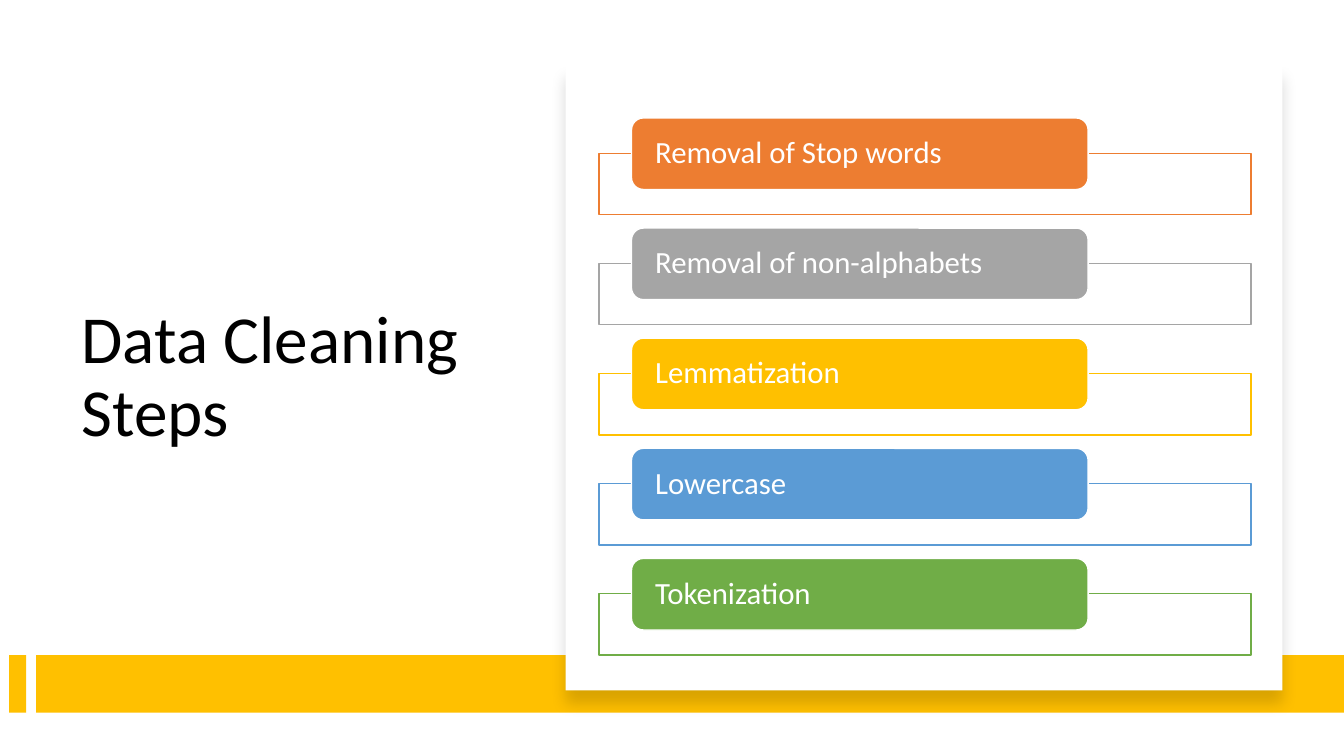
from lxml import etree
from pptx import Presentation
from pptx.dml.color import RGBColor
from pptx.enum.shapes import MSO_SHAPE
from pptx.enum.text import MSO_ANCHOR, PP_ALIGN
from pptx.oxml.ns import qn
from pptx.util import Inches, Pt

RECT = MSO_SHAPE.RECTANGLE
ROUND = MSO_SHAPE.ROUNDED_RECTANGLE
MIDDLE = MSO_ANCHOR.MIDDLE
LEFT = PP_ALIGN.LEFT

STEPS = [
    ("Removal of Stop words", "ED7D31"),
    ("Removal of non-alphabets", "A5A5A5"),
    ("Lemmatization", "FFC000"),
    ("Lowercase", "5B9BD5"),
    ("Tokenization", "70AD47"),
]


def color(code):
    return RGBColor.from_string(code)


def block(slide, kind, box, fill, line=None):
    shape = slide.shapes.add_shape(kind, *map(Inches, box))
    shape.shadow.inherit = False
    shape.fill.solid()
    shape.fill.fore_color.rgb = color(fill)
    if line:
        shape.line.color.rgb = color(line)
        shape.line.width = Pt(1)
    else:
        shape.line.fill.background()
    return shape


def fade(node, percent):
    etree.SubElement(node, qn("a:alpha"), val=str(percent * 1000))


def write(shape, text, inset, size, code):
    frame = shape.text_frame
    look = {
        "word_wrap": True, "vertical_anchor": MIDDLE,
        "margin_left": Inches(inset), "margin_right": Inches(inset),
    }
    for name, value in look.items():
        setattr(frame, name, value)
    frame.text = text
    para = frame.paragraphs[0]
    para.alignment = LEFT
    para.line_spacing = 0.9
    look = {"name": "Calibri", "size": Pt(size), "bold": False}
    for name, value in look.items():
        setattr(para.runs[0].font, name, value)
    para.runs[0].font.color.rgb = color(code)


def heading(slide, box):
    title = slide.shapes.title
    title.left, title.top, title.width, title.height = map(Inches, box)
    write(title, "Data Cleaning Steps", 0.1, 48, "000000")


def band(slide, box):
    # Short tab, gap, then the long bar
    x, y, w, h = box
    tab, gap = 0.17, 0.1
    block(slide, RECT, (x, y, tab, h), "FFC000")
    block(slide, RECT, (x + tab + gap, y, w - tab - gap, h), "FFC000")


def card(slide, box):
    # White card with a soft shadow below
    shape = block(slide, RECT, box, "FFFFFF")
    effects = shape.shadow._element.find(qn("a:effectLst"))
    glow = etree.SubElement(
        effects, qn("a:outerShdw"), blurRad=str(Pt(11)), dist=str(Pt(10)),
        dir=str(90 * 60000), algn="t", rotWithShape="0")
    fade(etree.SubElement(glow, qn("a:srgbClr"), val="000000"), 15)


def steps(slide, box):
    # Each label overlaps the top edge of its outlined frame
    x, y, w, h = box
    label, frame, drop = 0.71, 0.61, 0.35
    pitch = (h - drop - frame) / (len(STEPS) - 1)
    for i, (text, tint) in enumerate(STEPS):
        top = y + i * pitch
        outer = block(slide, RECT, (x, top + drop, w, frame), "FFFFFF", tint)
        fade(outer.fill._xPr.find(qn("a:solidFill"))[0], 90)
        pill = block(slide, ROUND, (x + w * 0.05, top, w * 0.7, label),
                     tint, "FFFFFF")
        write(pill, text, 0.2, 22, "FFFFFF")


def main():
    deck = Presentation()
    deck.slide_width, deck.slide_height = Inches(13.33), Inches(7.5)
    slide = deck.slides.add_slide(deck.slide_layouts[5])
    heading(slide, (0.71, 1.2, 4.15, 5.1))
    band(slide, (0.09, 6.5, 13.24, 0.57))
    card(slide, (5.61, 0.64, 7.11, 6.21))
    steps(slide, (5.94, 1.17, 6.47, 5.33))
    deck.save("out.pptx")


if __name__ == "__main__":
    main()
